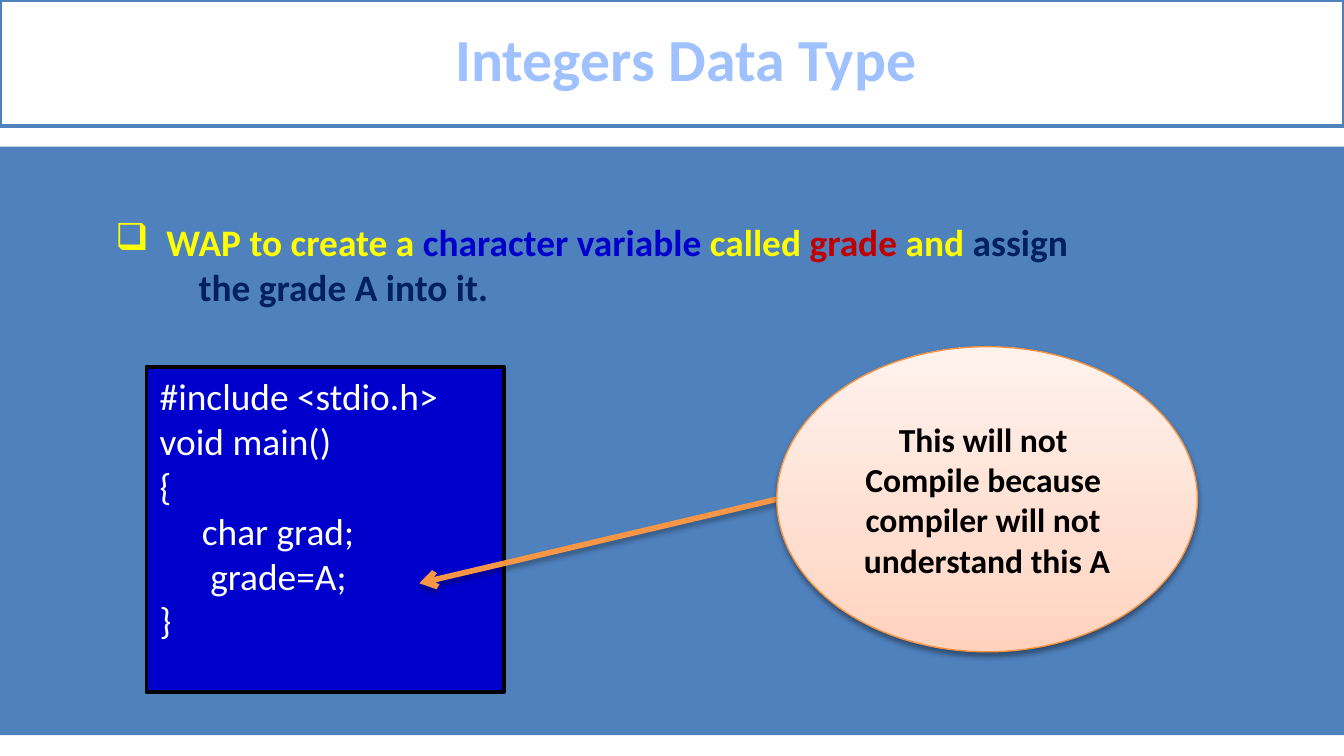
import pptx
import pptx.dml.color
import pptx.enum.shapes
import pptx.enum.text
import pptx.oxml
import pptx.oxml.ns
import pptx.util

Inches = pptx.util.Inches
Pt = pptx.util.Pt
Shape = pptx.enum.shapes.MSO_SHAPE
Align = pptx.enum.text.PP_ALIGN
Anchor = pptx.enum.text.MSO_ANCHOR

COLOURS = {
    "white": "FFFFFF", "black": "000000", "panel": "4F81BD", "title": "A0C1FF",
    "yellow": "FFFF00", "blue": "0000CC", "red": "C00000", "navy": "002060",
    "arrow": "F79646", "rim": "F69240",
}
CALLOUT_STOPS = [(0, "FFD2BD"), (35, "FFDED0"), (100, "FFF2ED")]


def rgb(name):
    return pptx.dml.color.RGBColor.from_string(COLOURS[name])


def element(body):
    tag, rest = body.split(" ", 1)
    return pptx.oxml.parse_xml(f"<a:{tag} {pptx.oxml.ns.nsdecls('a')} {rest}")


def write(para, spans, size=20, bold=False, align=None, left=0, hang=0,
          bullet=None, spacing=None):
    """Fill a paragraph with (text, colour) spans in one format."""
    if left:
        props = para._p.get_or_add_pPr()
        props.set("marL", str(Inches(left)))
        props.set("indent", str(-Inches(hang)))
    if bullet:
        tint = COLOURS[spans[0][1]]
        props.append(element(f'buClr ><a:srgbClr val="{tint}"/></a:buClr>'))
        props.append(element(f'buChar char="{bullet}"/>'))
    para.alignment = align
    para.line_spacing = spacing
    for text, colour in spans:
        span = para.add_run()
        span.text = text
        span.font.name = "Calibri"
        span.font.size = Pt(size)
        span.font.bold = bold
        span.font.color.rgb = rgb(colour)


class Page:
    """Holds the style and the current slide."""

    def __init__(self, deck):
        self.slide = deck.slides.add_slide(deck.slide_layouts[6])
        self.shapes = self.slide.shapes

    def shape(self, kind, at, fill=None, line=None, width=1):
        shape = self.shapes.add_shape(kind, *map(Inches, at))
        shape.shadow.inherit = False
        if fill:
            shape.fill.solid()
            shape.fill.fore_color.rgb = rgb(fill)
        if line:
            shape.line.color.rgb = rgb(line)
            shape.line.width = Pt(width)
        else:
            shape.line.fill.background()
        return shape

    def text(self, at, top=0.05):
        box = self.shapes.add_textbox(*map(Inches, at))
        box.text_frame.word_wrap = True
        box.text_frame.margin_top = Inches(top)
        return box

    def lines(self, box, lines, **style):
        frame = box.text_frame
        for number, spans in enumerate(lines):
            para = frame.add_paragraph() if number else frame.paragraphs[0]
            write(para, spans, **style)

    def arrow(self, start, end, colour, width):
        straight = pptx.enum.shapes.MSO_CONNECTOR.STRAIGHT
        arrow = self.shapes.add_connector(straight, *map(Inches, start + end))
        arrow.line.color.rgb = rgb(colour)
        arrow.line.width = Pt(width)
        arrow.line._get_or_add_ln().append(element('tailEnd type="arrow"/>'))
        arrow._element.spPr.append(element("effectLst />"))
        return arrow

    def gradient(self, shape, stops, angle):
        shape.fill.gradient()
        grad = shape._element.spPr.find(pptx.oxml.ns.qn("a:gradFill"))
        for child in list(grad):
            grad.remove(child)
        marks = "".join(
            f'<a:gs pos="{place * 1000}"><a:srgbClr val="{tint}"/></a:gs>'
            for place, tint in stops)
        grad.append(element(f"gsLst >{marks}</a:gsLst>"))
        grad.append(element(f'lin ang="{angle * 60000}" scaled="0"/>'))

    def shadow(self, shape, alpha, blur, distance):
        effects = shape._element.spPr.find(pptx.oxml.ns.qn("a:effectLst"))
        effects.append(element(
            f'outerShdw blurRad="{Pt(blur)}" dist="{Pt(distance)}" dir="5400000" '
            f'rotWithShape="0"><a:srgbClr val="{COLOURS["black"]}">'
            f'<a:alpha val="{alpha * 1000}"/></a:srgbClr></a:outerShdw>'))


def main():
    deck = pptx.Presentation()
    deck.slide_width = Inches(10)
    deck.slide_height = deck.slide_width * 9 // 16
    page = Page(deck)

    page.shape(Shape.RECTANGLE, (0, 1.09, 10, 4.38), "panel")
    title = page.shape(Shape.RECTANGLE, (0, 0, 10, 0.94), "white", "panel", 2)
    title.text_frame.vertical_anchor = Anchor.MIDDLE
    title.text_frame.margin_bottom = Inches(0.08)
    page.lines(title, [[("Integers Data Type", "title")]], size=32, bold=True,
               align=Align.CENTER, left=0.21, spacing=0.96)

    task = page.text((0, 1.25, 10, 1.11), top=0.38)
    write(task.text_frame.paragraphs[0], [
        ("WAP to create a ", "yellow"), ("character variable ", "blue"),
        ("called ", "yellow"), ("grade", "red"), (" and ", "yellow"),
        ("assign", "navy")], bold=True, left=1.14, hang=0.38, bullet="❑")
    write(task.text_frame.add_paragraph(), [("the grade A into it.", "navy")],
          bold=True, left=1.38)

    page.shape(Shape.RECTANGLE, (1.09, 2.73, 2.66, 2.42), "blue", "black", 2)
    code = ["#include <stdio.h>", "void main()", "{",
            "     char grad;", "      grade=A;", "}"]
    page.lines(page.text((1.09, 2.73, 2.5, 2.12)),
               [[(line, "white")] for line in code])

    arrow = page.arrow((6.95, 3.44), (3.12, 4.34), "arrow", 3)
    page.shadow(arrow, 35, 3.1, 1.8)

    callout = page.shape(Shape.OVAL, (5.78, 2.58, 3.13, 2.27), line="rim", width=0.75)
    page.gradient(callout, CALLOUT_STOPS, 270)
    page.shadow(callout, 38, 3.1, 1.6)
    callout.text_frame.vertical_anchor = Anchor.MIDDLE
    remark = ["This will not ", "Compile because ", "compiler will not ",
              "understand this A"]
    page.lines(callout, [[(line, "black")] for line in remark],
               size=18, bold=True, align=Align.CENTER)

    deck.save("out.pptx")


if __name__ == "__main__":
    main()
